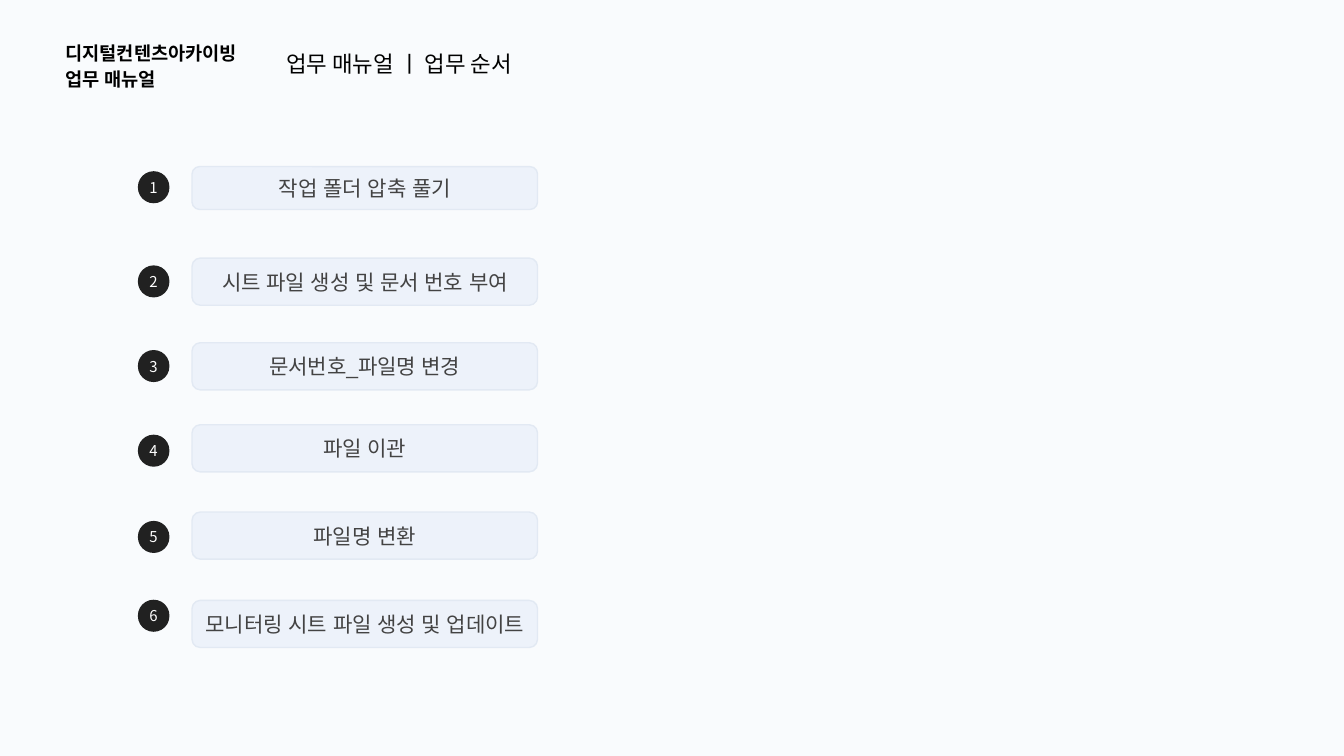
from lxml.etree import SubElement
from pptx import Presentation
from pptx.dml.color import RGBColor
from pptx.enum.shapes import MSO_SHAPE
from pptx.enum.text import MSO_ANCHOR, MSO_AUTO_SIZE, PP_ALIGN
from pptx.oxml.ns import qn
from pptx.util import Cm, Pt

MANUAL_NAME = ["디지털컨텐츠아카이빙", "업무 매뉴얼"]
PAGE_TITLE = ["업무 매뉴얼 ㅣ 업무 순서"]
STEPS = [
    ("작업 폴더 압축 풀기", 3.15, 0.81, 3.25),
    ("시트 파일 생성 및 문서 번호 부여", 4.88, 0.89, 5.03),
    ("문서번호_파일명 변경", 6.48, 0.89, 6.63),
    ("파일 이관", 8.03, 0.89, 8.23),
    ("파일명 변환", 9.68, 0.89, 9.86),
    ("모니터링 시트 파일 생성 및 업데이트", 11.35, 0.89, 11.35),
]
CARD_LEFT, CARD_WIDTH = 3.63, 6.53
BADGE_LEFT, BADGE_WIDTH, BADGE_HEIGHT = 2.62, 0.57, 0.58

THEME = {
    "background": "F9FBFD",
    "manual": {"font": "Noto Sans CJK KR", "size": 10, "color": "000000", "bold": True},
    "title": {"font": "Noto Sans CJK KR", "size": 12, "color": "000000"},
    "card": {"font": "Arial", "size": 11.3, "color": "434343",
             "fill": "EDF2FA", "line": "E2E9F3", "corner": 0.175},
    "badge": {"font": "Noto Sans CJK KR", "size": 8, "color": "FFFFFF",
              "fill": "212121", "line": "212121", "corner": 0.5},
}


def write(frame, lines, style, paragraph_format, **frame_format):
    for name, value in {"word_wrap": True, **frame_format}.items():
        setattr(frame, name, value)
    for index, line in enumerate(lines):
        paragraph = frame.add_paragraph() if index else frame.paragraphs[0]
        for name, value in paragraph_format.items():
            setattr(paragraph, name, value)
        run = paragraph.add_run()
        run.text = line
        font_format = {"name": style["font"], "size": Pt(style["size"]),
                       "bold": style.get("bold", False)}
        for name, value in font_format.items():
            setattr(run.font, name, value)
        run.font.color.rgb = RGBColor.from_string(style["color"])
        SubElement(run.font._element, qn("a:ea"), typeface=style["font"])


def add_panel(slide, box, lines, style, align=PP_ALIGN.CENTER, margin_left=0):
    panel = slide.shapes.add_shape(MSO_SHAPE.ROUNDED_RECTANGLE, *map(Cm, box))
    panel.shadow.inherit = False
    panel.adjustments[0] = style.get("corner", 0)
    if "fill" in style:
        panel.fill.solid()
        panel.fill.fore_color.rgb = RGBColor.from_string(style["fill"])
        panel.line.color.rgb = RGBColor.from_string(style["line"])
        panel.line.width = Pt(0.75)
    else:
        panel.fill.background()
        panel.line.fill.background()
    write(panel.text_frame, lines, style, {"alignment": align},
          vertical_anchor=MSO_ANCHOR.MIDDLE, margin_left=Cm(margin_left),
          margin_top=0, margin_right=0, margin_bottom=0)


def main():
    deck = Presentation()
    deck.slide_width, deck.slide_height = Cm(25.4), Cm(14.29)
    slide = deck.slides.add_slide(deck.slide_layouts[6])
    slide.background.fill.solid()
    slide.background.fill.fore_color.rgb = RGBColor.from_string(THEME["background"])

    manual = slide.shapes.add_textbox(Cm(0.99), Cm(0.48), Cm(4.17), Cm(1.42))
    inset = Cm(0.25)
    write(manual.text_frame, MANUAL_NAME, THEME["manual"], {"line_spacing": 1.15},
          auto_size=MSO_AUTO_SIZE.SHAPE_TO_FIT_TEXT, margin_left=inset,
          margin_top=inset, margin_right=inset, margin_bottom=inset)
    add_panel(slide, (5.16, 0.71, 10.95, 0.99), PAGE_TITLE, THEME["title"],
              PP_ALIGN.LEFT, 0.25)

    for number, (step, card_top, card_height, badge_top) in enumerate(STEPS, 1):
        add_panel(slide, (CARD_LEFT, card_top, CARD_WIDTH, card_height),
                  [step], THEME["card"])
        add_panel(slide, (BADGE_LEFT, badge_top, BADGE_WIDTH, BADGE_HEIGHT),
                  [str(number)], THEME["badge"])

    deck.save("out.pptx")


if __name__ == "__main__":
    main()
